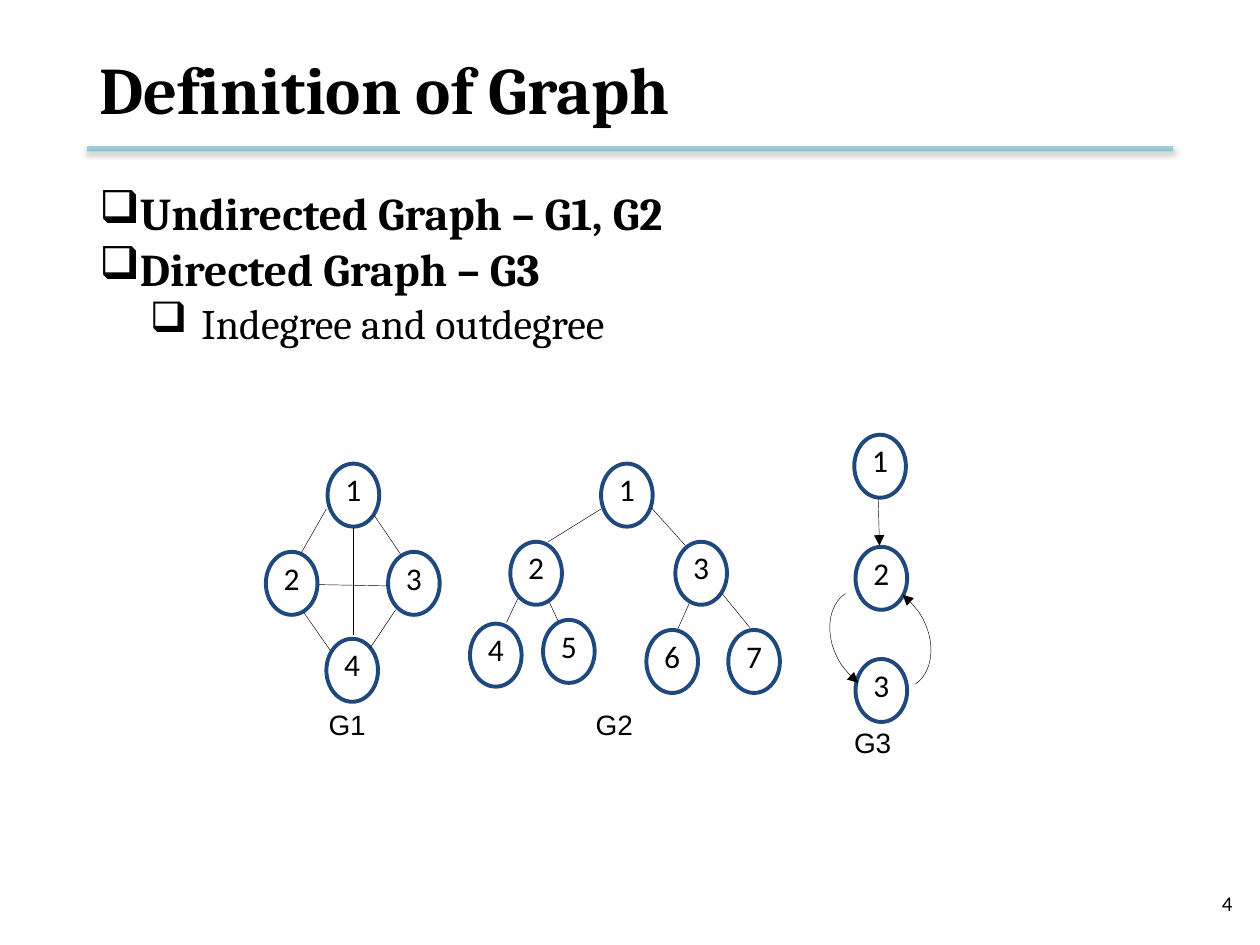
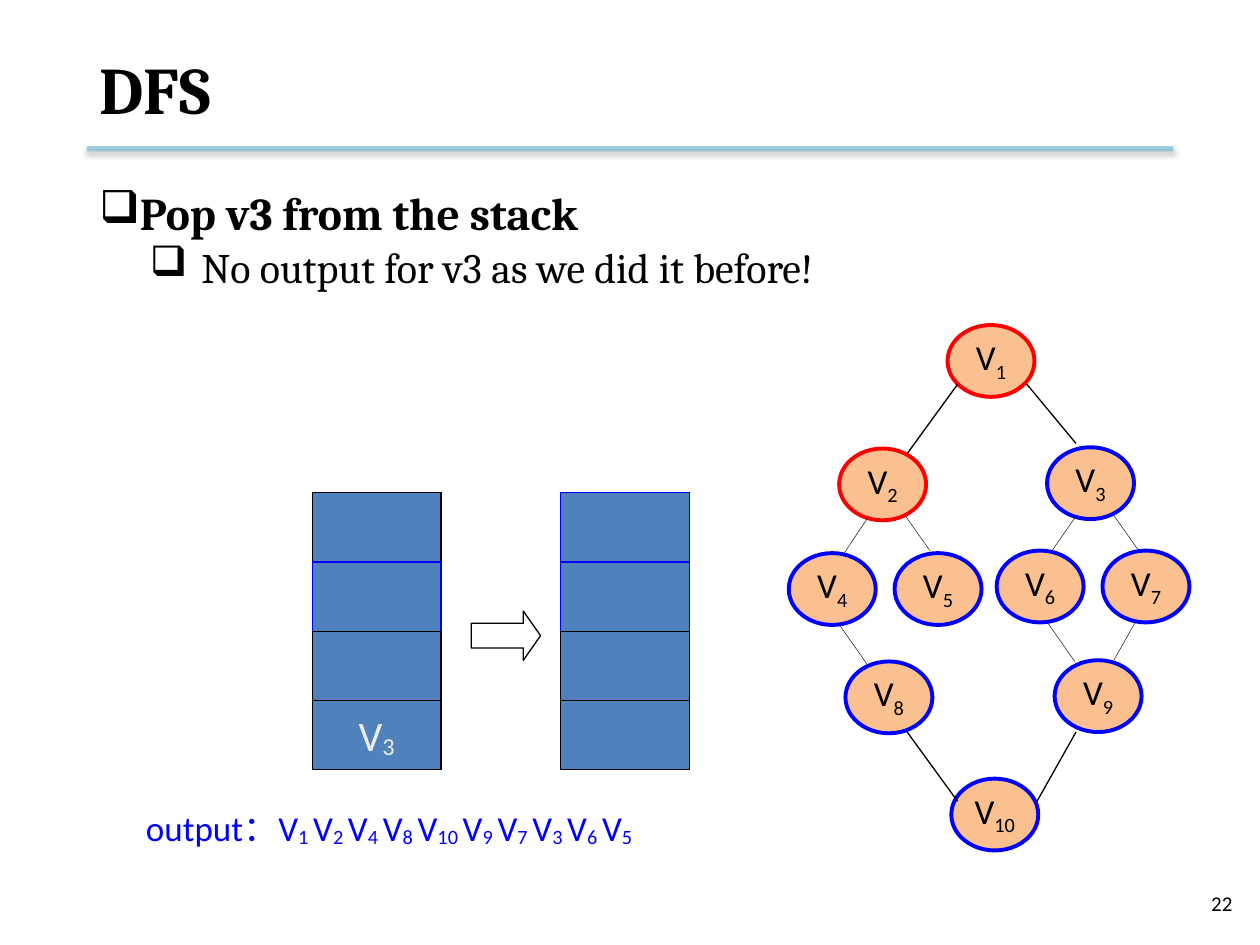
from dataclasses import dataclass
from typing import NamedTuple

from lxml import etree
from pptx import Presentation
from pptx.dml.color import RGBColor
from pptx.enum.shapes import MSO_CONNECTOR, MSO_SHAPE
from pptx.enum.text import MSO_ANCHOR, PP_ALIGN
from pptx.oxml import parse_xml
from pptx.oxml.ns import nsdecls, qn
from pptx.util import Emu, Inches, Pt

STRAIGHT = MSO_CONNECTOR.STRAIGHT
OVAL, RECTANGLE, RIGHT_ARROW = MSO_SHAPE.OVAL, MSO_SHAPE.RECTANGLE, MSO_SHAPE.RIGHT_ARROW
TOP, MIDDLE = MSO_ANCHOR.TOP, MSO_ANCHOR.MIDDLE
LEFT, CENTER, RIGHT = PP_ALIGN.LEFT, PP_ALIGN.CENTER, PP_ALIGN.RIGHT

SLIDE_WIDTH, SLIDE_HEIGHT = Inches(10), Inches(7.5)
COLUMN, ROW = SLIDE_WIDTH / 100, SLIDE_HEIGHT / 75
MARGIN, CONTENT_WIDTH = 6.9, 86.2

SERIF, SANS, LABEL_FONT = "Cambria", "Calibri", "Arial"
BLACK, BLUE, RED, NAVY = "000000", "0000FF", "FF0000", "1F497D"
PEACH, STACK_BLUE, RULE_TEAL, PALE = "FAC090", "4F81BD", "4BACC6", "EEECE1"


class Box(NamedTuple):
    left: float
    top: float
    width: float
    height: float


class TextStyle(NamedTuple):
    size: float
    font: str = SANS
    color: str = BLACK
    bold: bool = False
    align: PP_ALIGN = LEFT


class BulletLevel(NamedTuple):
    style: TextStyle
    margin: float
    indent: float


class Bullet(NamedTuple):
    text: str
    level: int = 0


class Node(NamedTuple):
    left: float
    top: float
    label: str
    subscript: str = ""
    line: str = NAVY


class Edge(NamedTuple):
    x1: float
    y1: float
    x2: float
    y2: float
    width: float = 0.25
    arrow: bool = False


@dataclass(frozen=True)
class NodeStyle:
    width: float
    height: float
    size: float
    fill: str | None = None
    rotation: float = 0


@dataclass(frozen=True)
class Graph:
    style: NodeStyle
    nodes: list[Node]
    edges: list[Edge]
    caption: str = ""
    caption_left: float = 0
    caption_top: float = 0


LEVELS = [
    BulletLevel(TextStyle(26, SERIF, bold=True), 0.25, -0.45),
    BulletLevel(TextStyle(24, SERIF), 0.81, -0.41),
]
PLAIN = NodeStyle(4.1, 5, 18)
TILTED = NodeStyle(4.1, 5, 18, rotation=359.5)
VERTEX = NodeStyle(6.9, 5.7, 20, PEACH)

G1 = Graph(
    PLAIN,
    [Node(26, 36.8, "1"), Node(30.8, 43.8, "3"), Node(25.9, 50.7, "4"), Node(21.1, 43.8, "2")],
    [
        Edge(29.7, 40.9, 31.8, 44), Edge(29.4, 51.4, 31.4, 48.4), Edge(24.1, 48.6, 26.2, 51.6),
        Edge(23.9, 43.9, 25.9, 40.4), Edge(25.3, 46.4, 30.8, 46.5), Edge(28, 41.9, 28, 50.4),
    ],
    "G1", 25.1, 55.6,
)
G2 = Graph(
    PLAIN,
    [
        Node(47.7, 36.8, "1"), Node(40.5, 43, "2"), Node(37.3, 49.5, "4"), Node(43.1, 49.2, "5"),
        Node(51.3, 50, "6"), Node(53.6, 43, "3"), Node(57.8, 50, "7"),
    ],
    [
        Edge(43.5, 43, 47.7, 40.4), Edge(51.7, 40.3, 54.4, 43.3), Edge(43.6, 47.8, 44.3, 49.3),
        Edge(41.1, 47.5, 40.2, 49.4), Edge(57.3, 47.1, 59.5, 49.8), Edge(54.7, 47.9, 53.8, 49.9),
    ],
    "G2", 46.3, 55.6,
)
G3 = Graph(
    TILTED,
    [Node(67.8, 34.5, "1"), Node(67.9, 43.4, "2"), Node(67.9, 52.3, "3")],
    [Edge(69.7, 39.5, 69.8, 43.3, arrow=True)],
    "G3", 66.8, 57.1,
)
DOWN_ARC = [
    [(67.1, 47.1), (65.6, 48.1), (65.4, 50.7), (66.8, 52.8)],
    [(66.8, 52.8), (67.2, 53.3), (67.6, 53.8), (68.1, 54.2)],
]
ARC_CENTER = (69.87, 50.7)

SEARCH_GRAPH = Graph(
    VERTEX,
    [
        Node(75.2, 25.8, "V", "1", RED), Node(66.6, 35.6, "V", "2", RED),
        Node(83.1, 35.5, "V", "3", BLUE), Node(62.6, 43.9, "V", "4", BLUE),
        Node(71, 43.9, "V", "5", BLUE), Node(79.1, 43.7, "V", "6", BLUE),
        Node(87.5, 43.7, "V", "7", BLUE), Node(67.1, 52.5, "V", "8", BLUE),
        Node(83.7, 52.4, "V", "9", BLUE), Node(75.5, 61.8, "V", "10", BLUE),
    ],
    [
        Edge(68.8, 41.2, 67, 43.9), Edge(71.9, 41, 73.8, 43.7), Edge(66.7, 49.7, 68.8, 52.7),
        Edge(85.3, 41.1, 83.5, 43.7), Edge(88.4, 40.9, 90.3, 43.6), Edge(83.2, 49.5, 85.3, 52.5),
        Edge(90.1, 49.4, 88.4, 52.4), Edge(76, 30.5, 72, 36, 0.75), Edge(72, 58.1, 76, 63.6, 0.75),
        Edge(81.5, 30.5, 85.4, 35.2, 0.75), Edge(85.4, 58.1, 82.3, 63.6, 0.75),
    ],
)
STACK_TOP, CELL_WIDTH, CELL_HEIGHT = 39.1, 10.2, 5.5
STACKS = {24.8: [BLACK, BLUE, BLACK, BLACK], 44.5: [BLUE, BLUE, BLACK, BLACK]}
VISIT_ORDER = ["1", "2", "4", "8", "10", "9", "7", "3", "6", "5"]


def rgb(color: str) -> RGBColor:
    return RGBColor.from_string(color)


def x(columns: float) -> Emu:
    return Emu(round(columns * COLUMN))


def y(rows: float) -> Emu:
    return Emu(round(rows * ROW))


def place(box: Box) -> tuple[Emu, Emu, Emu, Emu]:
    return x(box.left), y(box.top), x(box.width), y(box.height)


def style_paragraph(paragraph, style: TextStyle) -> None:
    paragraph.alignment = style.align
    font = paragraph.font
    font.name, font.size, font.bold = style.font, Pt(style.size), style.bold
    font.color.rgb = rgb(style.color)


def add_run(paragraph, text: str, baseline: int = 0) -> None:
    run = paragraph.add_run()
    run.text = text
    if baseline:
        run._r.get_or_add_rPr().set("baseline", str(baseline * 1000))


def add_text(slide, box: Box, text: str, style: TextStyle, anchor=MIDDLE, wrap: bool = True):
    frame = slide.shapes.add_textbox(*place(box)).text_frame
    frame.word_wrap, frame.vertical_anchor = wrap, anchor
    paragraph = frame.paragraphs[0]
    style_paragraph(paragraph, style)
    add_run(paragraph, text)
    return paragraph


def add_shape(slide, kind, box: Box, fill: str | None, line: str, width: float):
    shape = slide.shapes.add_shape(kind, *place(box))
    shape.shadow.inherit = False
    if fill:
        shape.fill.solid()
        shape.fill.fore_color.rgb = rgb(fill)
    else:
        shape.fill.background()
    shape.line.color.rgb = rgb(line)
    shape.line.width = Pt(width)
    return shape


def add_arrowhead(shape) -> None:
    outline = shape._element.spPr.find(qn("a:ln"))
    etree.SubElement(outline, qn("a:tailEnd"), type="triangle")


def add_line(slide, edge: Edge, color: str = BLACK):
    connector = slide.shapes.add_connector(
        STRAIGHT, x(edge.x1), y(edge.y1), x(edge.x2), y(edge.y2))
    connector.line.color.rgb = rgb(color)
    connector.line.width = Pt(edge.width)
    etree.SubElement(connector._element.spPr, qn("a:effectLst"))
    if edge.arrow:
        add_arrowhead(connector)
    return connector


def add_title_rule(slide) -> None:
    rule = add_line(slide, Edge(MARGIN, 11.8, MARGIN + CONTENT_WIDTH, 11.8, 3), RULE_TEAL)
    properties = rule._element.spPr
    line_color = properties.find(qn("a:ln")).find(".//" + qn("a:srgbClr"))
    etree.SubElement(line_color, qn("a:alpha"), val="50000")
    properties.find(qn("a:effectLst")).append(parse_xml(
        f'<a:outerShdw {nsdecls("a")} blurRad="{Pt(3.1)}" dist="{Pt(1.6)}" dir="5400000">'
        f'<a:srgbClr val="{BLACK}"><a:alpha val="38000"/></a:srgbClr></a:outerShdw>'))


def add_bullets(slide, bullets: list[Bullet], height: float) -> None:
    box = Box(MARGIN, 14.2, CONTENT_WIDTH, height)
    frame = slide.shapes.add_textbox(*place(box)).text_frame
    frame.word_wrap = True
    for index, bullet in enumerate(bullets):
        paragraph = frame.add_paragraph() if index else frame.paragraphs[0]
        level = LEVELS[bullet.level]
        paragraph.level = bullet.level
        properties = paragraph._p.get_or_add_pPr()
        properties.set("marL", str(Inches(level.margin)))
        properties.set("indent", str(Inches(level.indent)))
        etree.SubElement(properties, qn("a:buChar"), char="❑")
        if index:
            paragraph.space_before = Pt(1)
        style_paragraph(paragraph, level.style)
        add_run(paragraph, bullet.text)


def add_node(slide, node: Node, style: NodeStyle) -> None:
    box = Box(node.left, node.top, style.width, style.height)
    shape = add_shape(slide, OVAL, box, style.fill, node.line, 2.25)
    shape.rotation = style.rotation
    frame = shape.text_frame
    frame.margin_left = frame.margin_top = frame.margin_right = frame.margin_bottom = 0
    frame.vertical_anchor = TOP
    paragraph = frame.paragraphs[0]
    paragraph.line_spacing = 0.96
    style_paragraph(paragraph, TextStyle(style.size, align=CENTER))
    add_run(paragraph, node.label)
    if node.subscript:
        add_run(paragraph, node.subscript, -25)


def add_graph(slide, graph: Graph) -> None:
    for node in graph.nodes:
        add_node(slide, node, graph.style)
    for edge in graph.edges:
        add_line(slide, edge)
    if graph.caption:
        box = Box(graph.caption_left, graph.caption_top, 5.6, 3.7)
        add_text(slide, box, graph.caption, TextStyle(16, LABEL_FONT), wrap=False)


def curve_point(curve: list[tuple[float, float]], t: float) -> tuple[float, float]:
    weights = ((1 - t) ** 3, 3 * t * (1 - t) ** 2, 3 * t ** 2 * (1 - t), t ** 3)
    return tuple(sum(w * point[axis] for w, point in zip(weights, curve)) for axis in (0, 1))


def add_arc(slide, points: list[tuple[float, float]]) -> None:
    start, *rest = [(x(column), y(row)) for column, row in points]
    builder = slide.shapes.build_freeform(*start)
    builder.add_line_segments(rest, close=False)
    arc = builder.convert_to_shape()
    arc.shadow.inherit = False
    arc.fill.background()
    arc.line.color.rgb = rgb(BLACK)
    arc.line.width = Pt(0.25)
    add_arrowhead(arc)


def add_stacks(slide) -> None:
    for left, borders in STACKS.items():
        for row, border in enumerate(borders):
            box = Box(left, STACK_TOP + row * CELL_HEIGHT, CELL_WIDTH, CELL_HEIGHT)
            cell = add_shape(slide, RECTANGLE, box, STACK_BLUE, border, 0.75)
            if left == min(STACKS) and row == len(borders) - 1:
                cell.text_frame.word_wrap = False
                cell.text_frame.vertical_anchor = MIDDLE
                paragraph = cell.text_frame.paragraphs[0]
                style_paragraph(paragraph, TextStyle(24, color=PALE, align=CENTER))
                add_run(paragraph, "V")
                add_run(paragraph, "3", -10)
    arrow = add_shape(slide, RIGHT_ARROW, Box(37.4, 48.5, 5.5, 3.9), None, BLACK, 0.75)
    arrow.adjustments[0], arrow.adjustments[1] = 0.5, 0.35


def add_base_slide(presentation, title: str, number: str):
    slide = presentation.slides.add_slide(presentation.slide_layouts[6])
    add_title_rule(slide)
    add_text(slide, Box(75.5, 69.7, 23.3, 4), number, TextStyle(12, align=RIGHT))
    add_text(slide, Box(MARGIN, 1.7, CONTENT_WIDTH, 10.6), title, TextStyle(38, SERIF, bold=True))
    return slide


def build_definition_slide(presentation) -> None:
    slide = add_base_slide(presentation, "Definition of Graph", "4")
    add_bullets(slide, [Bullet("Undirected Graph – G1, G2"), Bullet("Directed Graph – G3"),
                        Bullet("Indegree and outdegree", 1)], 51)
    for graph in (G1, G2, G3):
        add_graph(slide, graph)
    down = [curve_point(curve, step / 12) for curve in DOWN_ARC for step in range(13)]
    up = [(2 * ARC_CENTER[0] - column, 2 * ARC_CENTER[1] - row) for column, row in down]
    add_arc(slide, down)
    add_arc(slide, up)


def build_search_slide(presentation) -> None:
    slide = add_base_slide(presentation, "DFS", "22")
    add_bullets(slide, [Bullet("Pop v3 from the stack"),
                        Bullet("No output for v3 as we did it before!", 1)], 13.8)
    add_graph(slide, SEARCH_GRAPH)
    add_stacks(slide)
    output = add_text(slide, Box(10.6, 63.5, 53.5, 4.4), "output：", TextStyle(20, color=BLUE), TOP)
    for position, vertex in enumerate(VISIT_ORDER, 1):
        add_run(output, "V")
        add_run(output, vertex + (" " if position < len(VISIT_ORDER) else ""), -10)


def main() -> None:
    presentation = Presentation()
    presentation.slide_width, presentation.slide_height = SLIDE_WIDTH, SLIDE_HEIGHT
    build_definition_slide(presentation)
    build_search_slide(presentation)
    presentation.save("out.pptx")


if __name__ == "__main__":
    main()
